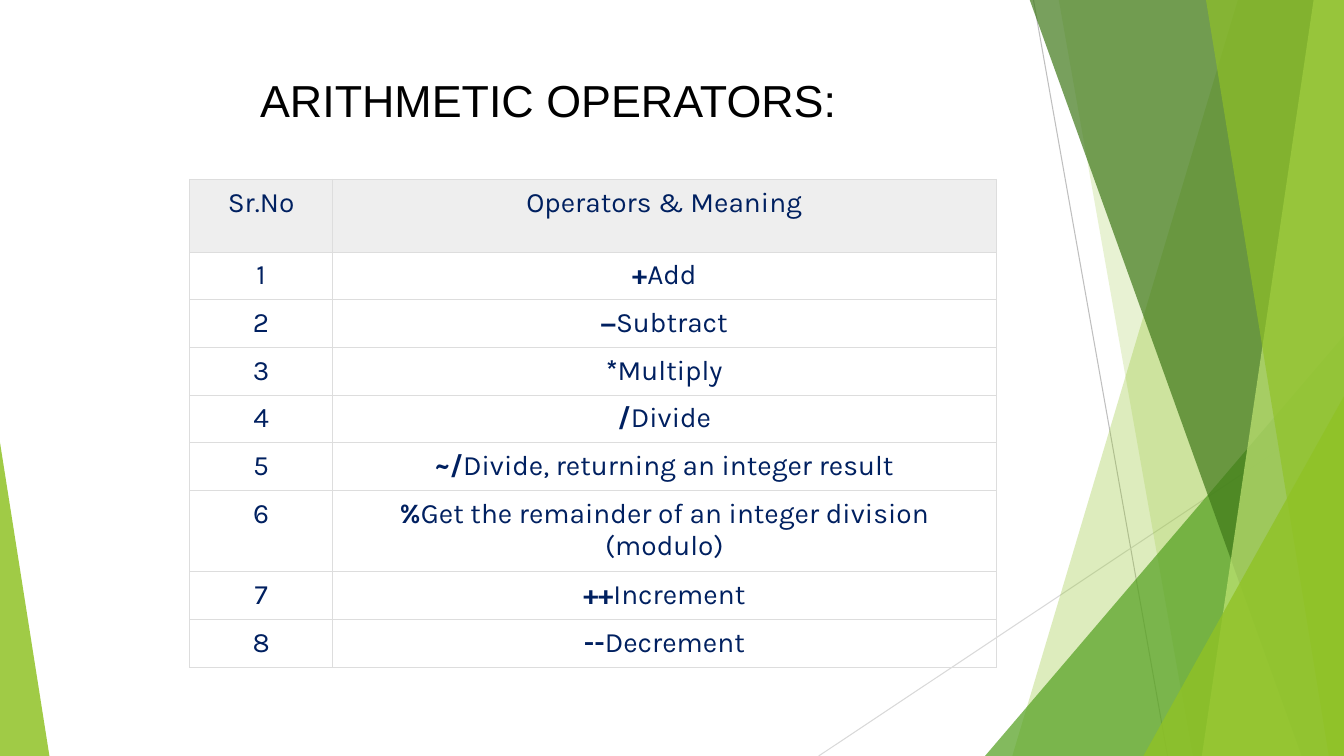
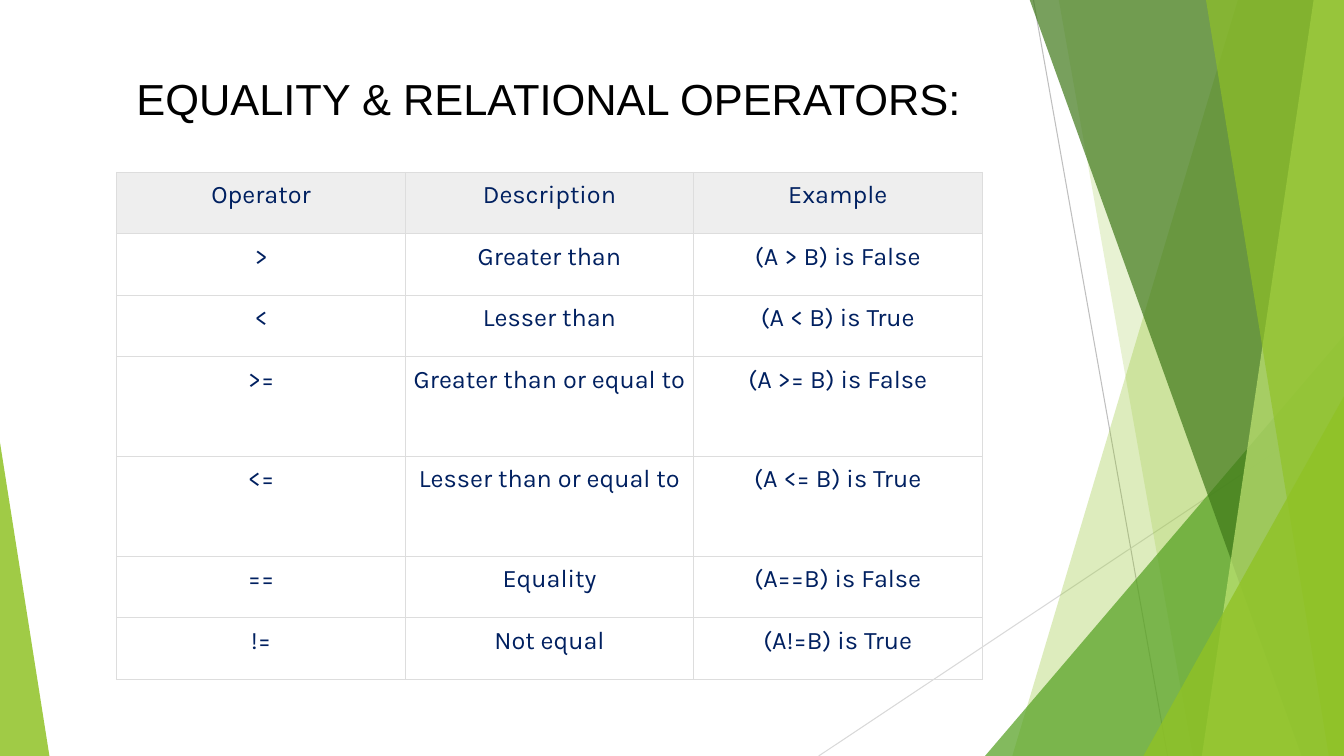
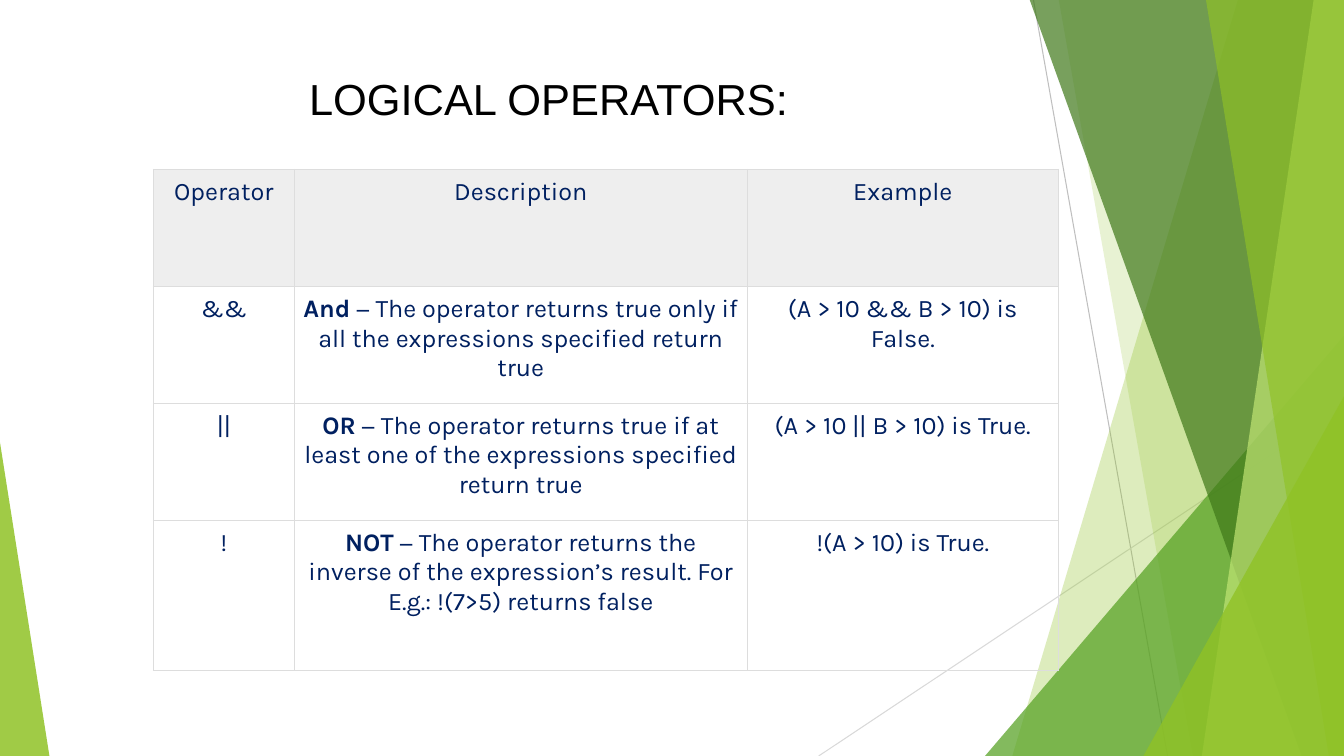
from dataclasses import dataclass
from itertools import chain
from typing import NamedTuple

from lxml.etree import SubElement
from pptx import Presentation
from pptx.dml.color import RGBColor
from pptx.enum.shapes import MSO_CONNECTOR, MSO_SHAPE
from pptx.enum.text import MSO_ANCHOR, PP_ALIGN
from pptx.oxml.ns import qn
from pptx.shapes.autoshape import Shape
from pptx.slide import Slide
from pptx.table import _Cell as Cell
from pptx.util import Inches, Pt


# Theme: colours, fonts and type sizes
@dataclass(frozen=True)
class Theme:
    lime: str = "90C226"
    pale_lime: str = "C0E474"
    green: str = "54A021"
    dark_green: str = "3F7819"
    title_colour: str = "000000"
    navy: str = "002060"
    header_fill: str = "EEEEEE"
    border: str = "DDDDDD"
    title_font: str = "Arial"
    table_font: str = "Karla"
    large_title: float = 32
    title: float = 31
    large_body: float = 20
    body: float = 18
    hairline: float = 0.75


THEME = Theme()
PAGE_WIDTH, PAGE_HEIGHT = 13.33, 7.5
PANEL_TOP = -0.01


# Records for repeated elements
class Ray(NamedTuple):
    start: tuple[float, float]
    end: tuple[float, float]
    colour: str


class Panel(NamedTuple):
    """A band reaching the right page edge, with a slanted left side."""
    top_x: float
    bottom_x: float
    colour: str
    opacity: int


class Wedge(NamedTuple):
    """A right triangle standing on the bottom page edge."""
    left: float
    top: float
    width: float
    apex: float
    colour: str
    opacity: int


class Lead(NamedTuple):
    """Cell text that opens in bold."""
    bold: str
    rest: str


CellText = str | Lead


@dataclass(frozen=True)
class OperatorPage:
    title: str
    title_size: float
    left: float
    top: float
    columns: list[float]
    heights: list[float]
    text_size: float
    margin: float
    rows: list[tuple[CellText, ...]]


RAYS = [
    Ray((10.25, 0), (11.58, PAGE_HEIGHT), "BFBFBF"),
    Ray((PAGE_WIDTH, 4.03), (8.12, PAGE_HEIGHT), "D9D9D9"),
]
FACETS: list[Panel | Wedge] = [
    Panel(12.28, 10.04, THEME.lime, 30),
    Panel(10.5, 11.83, THEME.lime, 20),
    Wedge(9.77, 3.33, 3.56, 1, THEME.green, 72),
    Panel(10.21, 12.91, THEME.dark_green, 70),
    Panel(13.03, 11.92, THEME.pale_lime, 70),
    Panel(11.96, 13.18, THEME.lime, 65),
    Wedge(11.34, 3.93, 1.99, 1, THEME.lime, 80),
    Wedge(0, 4.39, 0.49, 0, THEME.lime, 85),
]


# Shared background
def draw_ray(page: Slide, ray: Ray) -> None:
    line = page.shapes.add_connector(
        MSO_CONNECTOR.STRAIGHT, *map(Inches, chain(ray.start, ray.end)))
    line.line.color.rgb = RGBColor.from_string(ray.colour)
    line.line.width = Pt(THEME.hairline)
    SubElement(line.element.spPr, qn("a:effectLst"))


def build_panel(page: Slide, panel: Panel) -> Shape:
    corners = [(panel.top_x, PANEL_TOP), (PAGE_WIDTH, PANEL_TOP),
               (PAGE_WIDTH, PAGE_HEIGHT), (panel.bottom_x, PAGE_HEIGHT)]
    points = [(Inches(x), Inches(y)) for x, y in corners]
    outline = page.shapes.build_freeform(*points[0])
    outline.add_line_segments(points[1:])
    return outline.convert_to_shape()


def build_wedge(page: Slide, wedge: Wedge) -> Shape:
    shape = page.shapes.add_shape(
        MSO_SHAPE.ISOSCELES_TRIANGLE, Inches(wedge.left), Inches(wedge.top),
        Inches(wedge.width), Inches(PAGE_HEIGHT - wedge.top))
    shape.adjustments[0] = wedge.apex
    return shape


def draw_facet(page: Slide, facet: Panel | Wedge) -> None:
    build = build_panel if isinstance(facet, Panel) else build_wedge
    shape = build(page, facet)
    shape.shadow.inherit = False
    shape.line.fill.background()
    shape.fill.solid()
    shape.fill.fore_color.rgb = RGBColor.from_string(facet.colour)
    colour = shape.element.spPr.find(".//" + qn("a:srgbClr"))
    SubElement(colour, qn("a:alpha"), val=str(facet.opacity * 1000))


def draw_background(page: Slide) -> None:
    for ray in RAYS:
        draw_ray(page, ray)
    for facet in FACETS:
        draw_facet(page, facet)


# Title
def draw_title(page: Slide, text: str, size: float) -> None:
    box = page.shapes.add_textbox(
        Inches(0.74), Inches(0.67), Inches(9.4), Inches(6.06))
    frame = box.text_frame
    frame.word_wrap = True
    frame.vertical_anchor = MSO_ANCHOR.TOP
    frame.text = text
    para = frame.paragraphs[0]
    para.alignment = PP_ALIGN.CENTER
    font = para.runs[0].font
    font.name, font.size = THEME.title_font, Pt(size)
    font.color.rgb = RGBColor.from_string(THEME.title_colour)


# Table
def draw_borders(cell: Cell) -> None:
    properties = cell._tc.get_or_add_tcPr()
    for side in ("a:lnL", "a:lnR", "a:lnT", "a:lnB"):
        line = SubElement(properties, qn(side), w=str(Pt(THEME.hairline)))
        fill = SubElement(line, qn("a:solidFill"))
        SubElement(fill, qn("a:srgbClr"), val=THEME.border)


def fill_cell(cell: Cell, text: CellText, size: float, margin: float,
              is_header: bool) -> None:
    draw_borders(cell)
    if is_header:
        cell.fill.solid()
        cell.fill.fore_color.rgb = RGBColor.from_string(THEME.header_fill)
    else:
        cell.fill.background()
    cell.margin_left = cell.margin_right = Inches(margin)
    cell.margin_top = cell.margin_bottom = Inches(margin)
    para = cell.text_frame.paragraphs[0]
    para.alignment = PP_ALIGN.CENTER
    if isinstance(text, Lead):
        para.text = text.bold
        para.add_run().text = text.rest
    else:
        para.text = text
    for index, span in enumerate(para.runs):
        span.font.name, span.font.size = THEME.table_font, Pt(size)
        span.font.color.rgb = RGBColor.from_string(THEME.navy)
        span.font.bold = isinstance(text, Lead) and index == 0


def draw_table(page: Slide, content: OperatorPage) -> None:
    table = page.shapes.add_table(
        len(content.rows), len(content.columns),
        Inches(content.left), Inches(content.top),
        Inches(sum(content.columns)), Inches(sum(content.heights))).table
    table.horz_banding = False
    for column, width in zip(table.columns, content.columns):
        column.width = Inches(width)
    for row, height in zip(table.rows, content.heights):
        row.height = Inches(height)
    for row_index, texts in enumerate(content.rows):
        for column_index, text in enumerate(texts):
            fill_cell(table.cell(row_index, column_index), text,
                      content.text_size, content.margin, row_index == 0)


# Content
ARITHMETIC = [
    Lead("+", "Add"),
    Lead("−", "Subtract"),
    Lead("*", "Multiply"),
    Lead("/", "Divide"),
    Lead("~/", "Divide, returning an integer result"),
    Lead("%", "Get the remainder of an integer division (modulo)"),
    Lead("++", "Increment"),
    Lead("--", "Decrement"),
]
HEADINGS = ("Operator", "Description", "Example")

PAGES = [
    OperatorPage(
        "ARITHMETIC OPERATORS:", THEME.large_title, 1.88, 1.78,
        [1.42, 6.58], [0.72] + [0.46] * 5 + [0.78] + [0.46] * 2,
        THEME.large_body, 0.07,
        [("Sr.No", "Operators & Meaning"),
         *((str(number), text) for number, text in enumerate(ARITHMETIC, 1))]),
    OperatorPage(
        "EQUALITY & RELATIONAL OPERATORS:", THEME.title, 1.16, 1.71,
        [2.86] * 3, [0.61] * 3 + [0.99] * 2 + [0.61] * 2,
        THEME.body, 0.08,
        [HEADINGS,
         (">", "Greater than", "(A > B) is False"),
         ("<", "Lesser than", "(A < B) is True"),
         (">=", "Greater than or equal to", "(A >= B) is False"),
         ("<=", "Lesser than or equal to", "(A <= B) is True"),
         ("==", "Equality", "(A==B) is False"),
         ("!=", "Not equal", "(A!=B) is True")]),
    OperatorPage(
        "LOGICAL OPERATORS:", THEME.title, 1.52, 1.68,
        [1.4, 4.49, 3.09], [1.16] * 3 + [1.49],
        THEME.body, 0.08,
        [HEADINGS,
         ("&&", Lead("And", "\u00a0− The operator returns true only if all "
                     "the expressions specified return true"),
          "(A > 10 && B > 10) is False."),
         ("||", Lead("OR", "\u00a0− The operator returns true if at least "
                     "one of the expressions specified return true"),
          "(A > 10 || B > 10) is True."),
         ("!", Lead("NOT", "\u00a0− The operator returns the inverse of the "
                    "expression’s result. For E.g.: !(7>5) returns false"),
          "!(A > 10) is True.")]),
]


# Build the deck
def main() -> None:
    deck = Presentation()
    deck.slide_width, deck.slide_height = Inches(PAGE_WIDTH), Inches(PAGE_HEIGHT)
    blank = deck.slide_layouts[6]
    for content in PAGES:
        page = deck.slides.add_slide(blank)
        draw_background(page)
        draw_title(page, content.title, content.title_size)
        draw_table(page, content)
    deck.save("out.pptx")


main()
